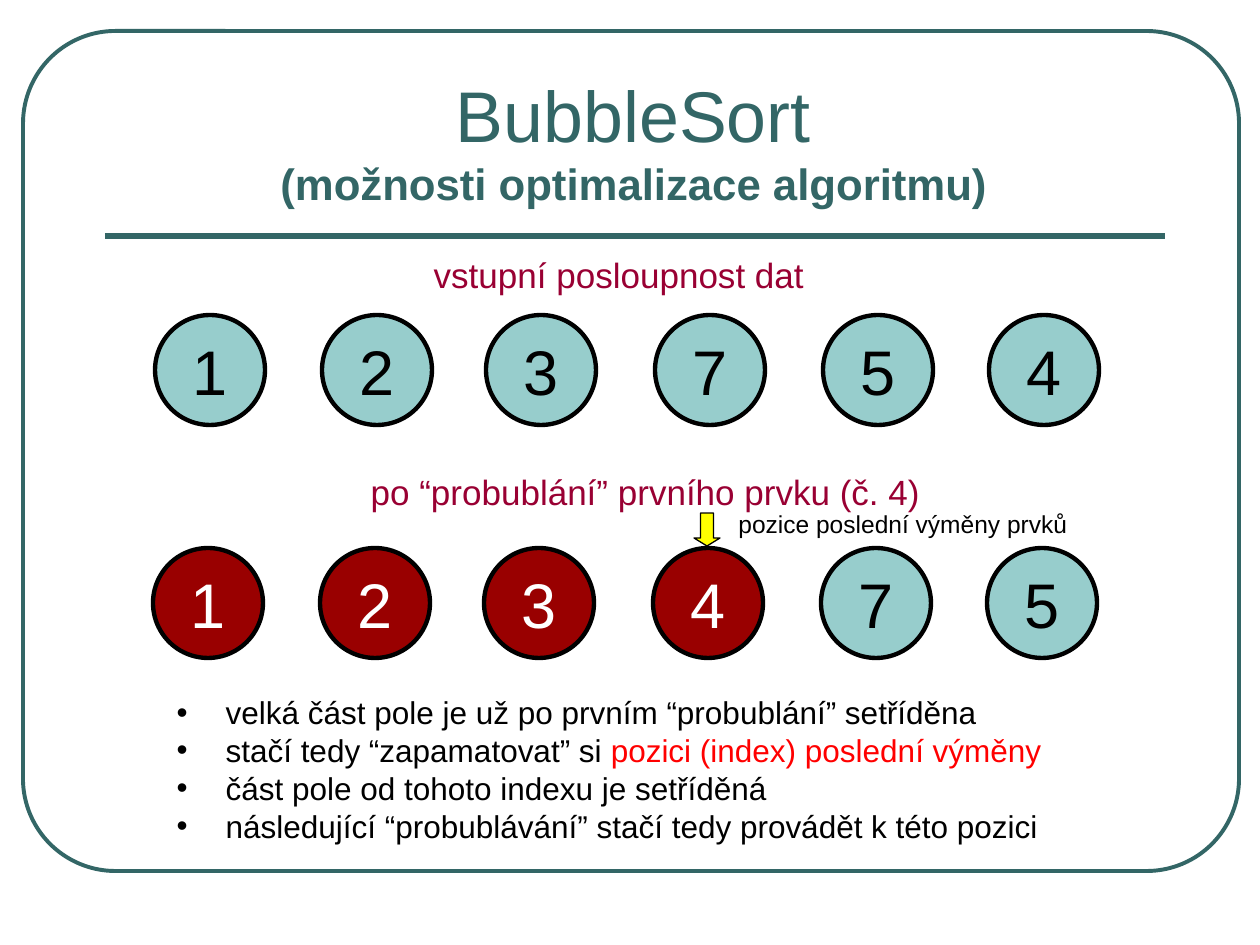
"""Builds the BubbleSort optimisation slide."""
from dataclasses import dataclass

from lxml import etree
from pptx import Presentation
from pptx import util as u
from pptx.dml.color import RGBColor
from pptx.enum import shapes, text
from pptx.oxml.ns import qn

PX = 914400 / 126
COLUMNS = (155, 322, 486, 655, 823, 989)
DIAMETER = 110


@dataclass(frozen=True)
class Theme:
    font: str = "Arial"
    teal: str = "336666"
    pale: str = "97CDCC"
    sorted_red: str = "990000"
    caption: str = "990033"
    accent: str = "FF0000"
    arrow: str = "FFFF00"
    black: str = "000000"
    white: str = "FFFFFF"
    title_size: int = 41
    subtitle_size: int = 25
    number_size: int = 36
    caption_size: int = 20
    list_size: int = 18
    note_size: int = 14


@dataclass(frozen=True)
class Box:
    left: int
    top: int
    width: int
    height: int

    def emu(self) -> tuple:
        return tuple(px(n) for n in (self.left, self.top, self.width, self.height))


@dataclass(frozen=True)
class Row:
    values: str
    top: int
    shift: int
    sorted_count: int


@dataclass(frozen=True)
class Label:
    words: str
    box: Box
    size: int
    color: str
    wrap: bool


THEME = Theme()
ROWS = (Row("123754", 315, 0, 0), Row("123475", 548, -2, 4))
LABELS = (
    Label("vstupní posloupnost dat", Box(348, 247, 542, 55),
          THEME.caption_size, THEME.caption, True),
    Label("po “probublání” prvního prvku (č. 4)", Box(341, 464, 609, 55),
          THEME.caption_size, THEME.caption, False),
    Label("pozice poslední výměny prvků", Box(717, 503, 372, 43),
          THEME.note_size, THEME.black, False),
)
POINTS = (
    ("velká část pole je už po prvním “probublání” setříděna",),
    ("stačí tedy “zapamatovat” si ", "pozici (index) poslední výměny"),
    ("část pole od tohoto indexu je setříděná",),
    ("následující “probublávání” stačí tedy provádět k této pozici",),
)


def px(length: int) -> u.Emu:
    return u.Emu(round(length * PX))


def rgb(color: str) -> RGBColor:
    return RGBColor.from_string(color)


def style(run, size: int, color: str, bold: bool = False) -> None:
    run.font.name = THEME.font
    run.font.size = u.Pt(size)
    run.font.bold = bold
    run.font.color.rgb = rgb(color)


def place(shape, box: Box) -> None:
    shape.left, shape.top, shape.width, shape.height = box.emu()


def write_centred(frame, words: str, size: int, color: str, wrap: bool) -> None:
    frame.text = words
    frame.word_wrap = wrap
    paragraph = frame.paragraphs[0]
    paragraph.alignment = text.PP_ALIGN.CENTER
    style(paragraph.runs[0], size, color)


def add_outlined(slide, kind, box: Box, fill: str | None, line: str, width: float):
    shape = slide.shapes.add_shape(kind, *box.emu())
    shape.shadow.inherit = False
    if fill:
        shape.fill.solid()
        shape.fill.fore_color.rgb = rgb(fill)
    else:
        shape.fill.background()
    shape.line.color.rgb = rgb(line)
    shape.line.width = u.Pt(width)
    return shape


def add_frame(slide) -> None:
    frame = add_outlined(slide, shapes.MSO_SHAPE.ROUNDED_RECTANGLE,
                         Box(23, 31, 1216, 840), None, THEME.teal, 2.25)
    frame.adjustments[0] = 0.11
    rule = slide.shapes.add_connector(
        shapes.MSO_CONNECTOR.STRAIGHT, px(105), px(236), px(1165), px(236))
    rule.line.color.rgb = rgb(THEME.teal)
    rule.line.width = u.Pt(3)
    etree.SubElement(rule.element.spPr, qn("a:effectLst"))


def fill_title(title) -> None:
    place(title, Box(103, 58, 1061, 158))
    frame = title.text_frame
    frame.text = "BubbleSort\v(možnosti optimalizace algoritmu)"
    frame.auto_size = text.MSO_AUTO_SIZE.NONE
    frame.vertical_anchor = text.MSO_ANCHOR.BOTTOM
    paragraph = frame.paragraphs[0]
    paragraph.alignment = text.PP_ALIGN.CENTER
    name, subtitle = paragraph.runs
    style(name, THEME.title_size, THEME.teal)
    style(subtitle, THEME.subtitle_size, THEME.teal, bold=True)
    line_break = title.element.find(".//" + qn("a:br"))
    etree.SubElement(line_break, qn("a:rPr"), sz=str(THEME.title_size * 100))


def fill_points(body) -> None:
    place(body, Box(164, 687, 1005, 164))
    frame = body.text_frame
    frame.text = "\n".join(point[0] for point in POINTS)
    frame.auto_size = text.MSO_AUTO_SIZE.NONE
    for paragraph, point in zip(frame.paragraphs, POINTS):
        for emphasis in point[1:]:
            paragraph.add_run().text = emphasis
        for run, color in zip(paragraph.runs, (THEME.black, THEME.accent)):
            style(run, THEME.list_size, color)
        paragraph.space_before = u.Pt(0)
        paragraph.line_spacing = u.Pt(21.6)
        properties = paragraph._p.get_or_add_pPr()
        properties.set("marL", str(px(49)))
        properties.set("indent", str(px(-49)))
        bullet_color = etree.SubElement(properties, qn("a:buClr"))
        etree.SubElement(bullet_color, qn("a:srgbClr"), val=THEME.black)
        etree.SubElement(properties, qn("a:buFont"), typeface=THEME.font)
        etree.SubElement(properties, qn("a:buChar"), char="•")


def add_row(slide, row: Row) -> None:
    for index, (value, left) in enumerate(zip(row.values, COLUMNS)):
        done = index < row.sorted_count
        circle = add_outlined(
            slide, shapes.MSO_SHAPE.OVAL,
            Box(left + row.shift, row.top, DIAMETER, DIAMETER),
            THEME.sorted_red if done else THEME.pale, THEME.black, 2.5)
        circle.text_frame.vertical_anchor = text.MSO_ANCHOR.MIDDLE
        write_centred(circle.text_frame, value, THEME.number_size,
                      THEME.white if done else THEME.black, False)


def add_label(slide, label: Label) -> None:
    box = slide.shapes.add_textbox(*label.box.emu())
    write_centred(box.text_frame, label.words, label.size, label.color, label.wrap)


def main() -> None:
    deck = Presentation()
    deck.slide_width, deck.slide_height = px(1260), px(945)
    slide = deck.slides.add_slide(deck.slide_layouts[1])
    fill_title(slide.shapes.title)
    fill_points(slide.placeholders[1])
    add_frame(slide)
    for row in ROWS:
        add_row(slide, row)
    for label in LABELS:
        add_label(slide, label)
    arrow = add_outlined(slide, shapes.MSO_SHAPE.UP_ARROW, Box(694, 513, 26, 33),
                         THEME.arrow, THEME.black, 0.75)
    arrow.rotation = 180
    arrow.adjustments[1] = 0.31
    deck.save("out.pptx")


if __name__ == "__main__":
    main()
